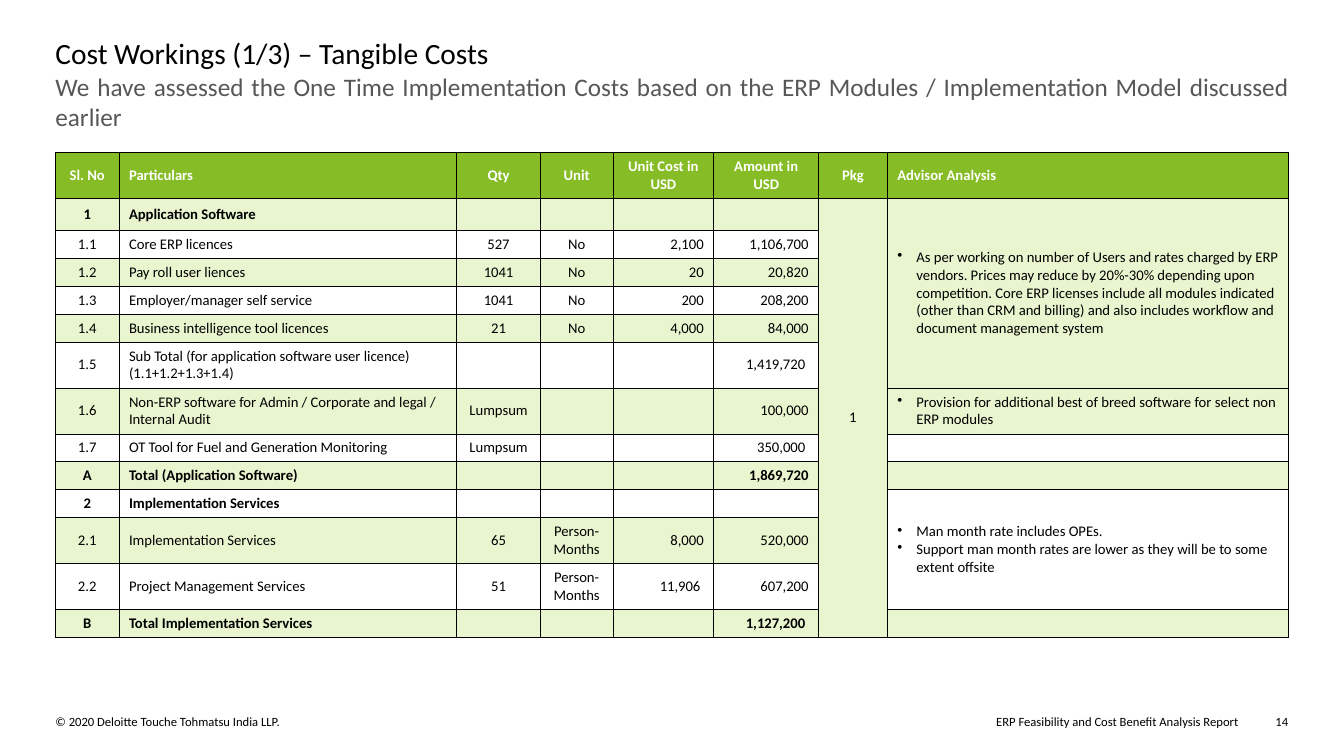
import pptx
import pptx.util
import pptx.dml.color
import pptx.enum.text
import pptx.oxml
import pptx.oxml.ns
from lxml import etree

Inches = pptx.util.Inches
Pt = pptx.util.Pt
RGBColor = pptx.dml.color.RGBColor
ALIGN = pptx.enum.text.PP_ALIGN
MIDDLE = pptx.enum.text.MSO_ANCHOR.MIDDLE

BLACK = RGBColor(0x00, 0x00, 0x00)
WHITE = RGBColor(0xFF, 0xFF, 0xFF)
GREY = RGBColor(0x57, 0x57, 0x57)
GREEN = RGBColor(0x86, 0xBC, 0x25)
PALE_GREEN = RGBColor(0xE8, 0xF5, 0xCF)
FONT = "Calibri"
TABLE_SIZE = 10.5

COLUMN_WIDTHS = [0.63, 3.35, 0.83, 0.72, 1, 1.04, 0.68, 3.98]
COLUMN_ALIGNS = [ALIGN.CENTER, ALIGN.LEFT, ALIGN.CENTER, ALIGN.CENTER,
                 ALIGN.RIGHT, ALIGN.RIGHT, ALIGN.CENTER, ALIGN.LEFT]
PKG, ANALYSIS = 6, 7
HEADINGS = ["Sl. No", "Particulars", "Qty", "Unit", "Unit Cost in USD",
            "Amount in USD", "Pkg", "Advisor Analysis"]
COSTS = [
    ("1", "Application Software", "", "", "", ""),
    ("1.1", "Core ERP licences", "527", "No", "2,100", "1,106,700"),
    ("1.2", "Pay roll user liences", "1041", "No", "20", "20,820"),
    ("1.3", "Employer/manager self service", "1041", "No", "200", "208,200"),
    ("1.4", "Business intelligence tool licences", "21", "No", "4,000", "84,000"),
    ("1.5", "Sub Total (for application software user licence) (1.1+1.2+1.3+1.4)",
     "", "", "", "1,419,720 "),
    ("1.6", "Non-ERP software for Admin / Corporate and legal / Internal Audit",
     "Lumpsum", "", "", "100,000"),
    ("1.7", "OT Tool for Fuel and Generation Monitoring", "Lumpsum", "", "", "350,000 "),
    ("A", "Total (Application Software)", "", "", "", "1,869,720"),
    ("2", "Implementation Services", "", "", "", ""),
    ("2.1", "Implementation Services", "65", "Person-Months", "8,000", "520,000"),
    ("2.2", "Project Management Services", "51", "Person-Months", "11,906 ", "607,200"),
    ("B", "Total Implementation Services", "", "", "", "1,127,200 "),
]
BOLD_ITEMS = {"1", "A", "2", "B"}
# Row heights: one line of text, except the first section and two-line rows
LINE_HEIGHT, SECTION_HEIGHT, DOUBLE_HEIGHT = 0.277, 0.32, 0.456
DOUBLE_ITEMS = {"1.5", "1.6", "2.1", "2.2"}
# First row, last row, bullets
COMMENTS = [
    (1, 6, ["As per working on number of Users and rates charged by ERP vendors. "
            "Prices may reduce by 20%-30% depending upon competition. Core ERP "
            "licenses include all modules indicated (other than CRM and billing) "
            "and also includes workflow and document management system"]),
    (7, 7, ["Provision for additional best of breed software for select non ERP modules"]),
    (10, 12, ["Man month rate includes OPEs.",
              "Support man month rates are lower as they will be to some extent offsite"]),
]


def write(paragraph, text, size, color, align, bold=False):
    paragraph.alignment = align
    run = paragraph.add_run()
    run.text = text
    run.font.color.rgb = color
    for name, value in {"name": FONT, "size": Pt(size), "bold": bold}.items():
        setattr(run.font, name, value)


def add_text(slide, box, text, size, color=BLACK, align=ALIGN.LEFT, wrap=True):
    frame = slide.shapes.add_textbox(*map(Inches, box)).text_frame
    margins = dict.fromkeys(
        ["margin_left", "margin_top", "margin_right", "margin_bottom"], 0)
    for name, value in {**margins, "word_wrap": wrap}.items():
        setattr(frame, name, value)
    write(frame.paragraphs[0], text, size, color, align)


def add_bullet(paragraph):
    properties = paragraph._p.get_or_add_pPr()
    properties.set("marL", str(Inches(0.19)))
    properties.set("indent", str(-Inches(0.19)))
    bullet = etree.SubElement(properties, pptx.oxml.ns.qn("a:buChar"))
    bullet.set("char", "•")


def style_cell(cell, fill):
    """Gives a cell its borders, fill, anchor and the text size of an empty line."""
    for side in ("lnL", "lnR", "lnT", "lnB"):
        cell._tc.get_or_add_tcPr().append(pptx.oxml.parse_xml(
            f'<a:{side} {pptx.oxml.ns.nsdecls("a")} w="{Pt(0.5)}"><a:solidFill>'
            f'<a:srgbClr val="{BLACK}"/></a:solidFill></a:{side}>'))
    if fill is None:
        cell.fill.background()
    else:
        cell.fill.solid()
        cell.fill.fore_color.rgb = fill
    cell.vertical_anchor = MIDDLE
    line_end = etree.SubElement(cell.text_frame.paragraphs[0]._p,
                                pptx.oxml.ns.qn("a:endParaRPr"))
    line_end.set("sz", str(int(TABLE_SIZE * 100)))


def row_height(item):
    if item in DOUBLE_ITEMS:
        return DOUBLE_HEIGHT
    return SECTION_HEIGHT if item == "1" else LINE_HEIGHT


def add_cost_table(slide, left, top):
    heights = [DOUBLE_HEIGHT] + [row_height(cost[0]) for cost in COSTS]
    table = slide.shapes.add_table(
        len(heights), len(COLUMN_WIDTHS), Inches(left), Inches(top),
        Inches(sum(COLUMN_WIDTHS)), Inches(sum(heights))).table
    for column, width in zip(table.columns, COLUMN_WIDTHS):
        column.width = Inches(width)
    for index, height in enumerate(heights):
        table.rows[index].height = Inches(height)
        band = GREEN if index == 0 else PALE_GREEN if index % 2 else None
        for cell in table.rows[index].cells:
            style_cell(cell, band)

    for column, heading in enumerate(HEADINGS):
        align = ALIGN.LEFT if column in (1, ANALYSIS) else ALIGN.CENTER
        write(table.cell(0, column).text_frame.paragraphs[0], heading,
              TABLE_SIZE, WHITE, align, True)
    for row, cost in enumerate(COSTS, 1):
        for column, value in enumerate(cost):
            if value:
                write(table.cell(row, column).text_frame.paragraphs[0], value, TABLE_SIZE,
                      BLACK, COLUMN_ALIGNS[column], cost[0] in BOLD_ITEMS)

    package = table.cell(1, PKG)
    package.merge(table.cell(len(COSTS), PKG))
    write(package.text_frame.paragraphs[0], "1", TABLE_SIZE, BLACK, ALIGN.CENTER)
    for first, last, bullets in COMMENTS:
        comment = table.cell(first, ANALYSIS)
        if last > first:
            comment.merge(table.cell(last, ANALYSIS))
        frame = comment.text_frame
        for number, text in enumerate(bullets):
            paragraph = frame.add_paragraph() if number else frame.paragraphs[0]
            add_bullet(paragraph)
            write(paragraph, text, TABLE_SIZE, BLACK, ALIGN.LEFT)


def add_heading(slide, left, top, width):
    add_text(slide, (left, top, width, 0.37), "Cost Workings (1/3) – Tangible Costs", 21)
    add_text(slide, (left, top + 0.36, width, 0.83),
             "We have assessed the One Time Implementation Costs based on the ERP "
             "Modules / Implementation Model discussed earlier",
             18, GREY, ALIGN.JUSTIFY)


def add_footer(slide, left, top):
    add_text(slide, (left, top, 5.86, 0.15),
             "© 2020 Deloitte Touche Tohmatsu India LLP.", 9)
    add_text(slide, (left + 6.38, top, 5.35, 0.15),
             "ERP Feasibility and Cost Benefit Analysis Report", 9, align=ALIGN.RIGHT)
    add_text(slide, (left + 12.1, top, 0.15, 0.15), "14", 9, wrap=False)


def main():
    deck = pptx.Presentation()
    deck.slide_width, deck.slide_height = Inches(13.33), Inches(7.5)
    slide = deck.slides.add_slide(deck.slide_layouts[6])
    left = 0.55
    add_heading(slide, left, 0.35, 12.24)
    add_cost_table(slide, left, 1.51)
    add_footer(slide, left, 7.08)
    deck.save("out.pptx")


if __name__ == "__main__":
    main()
